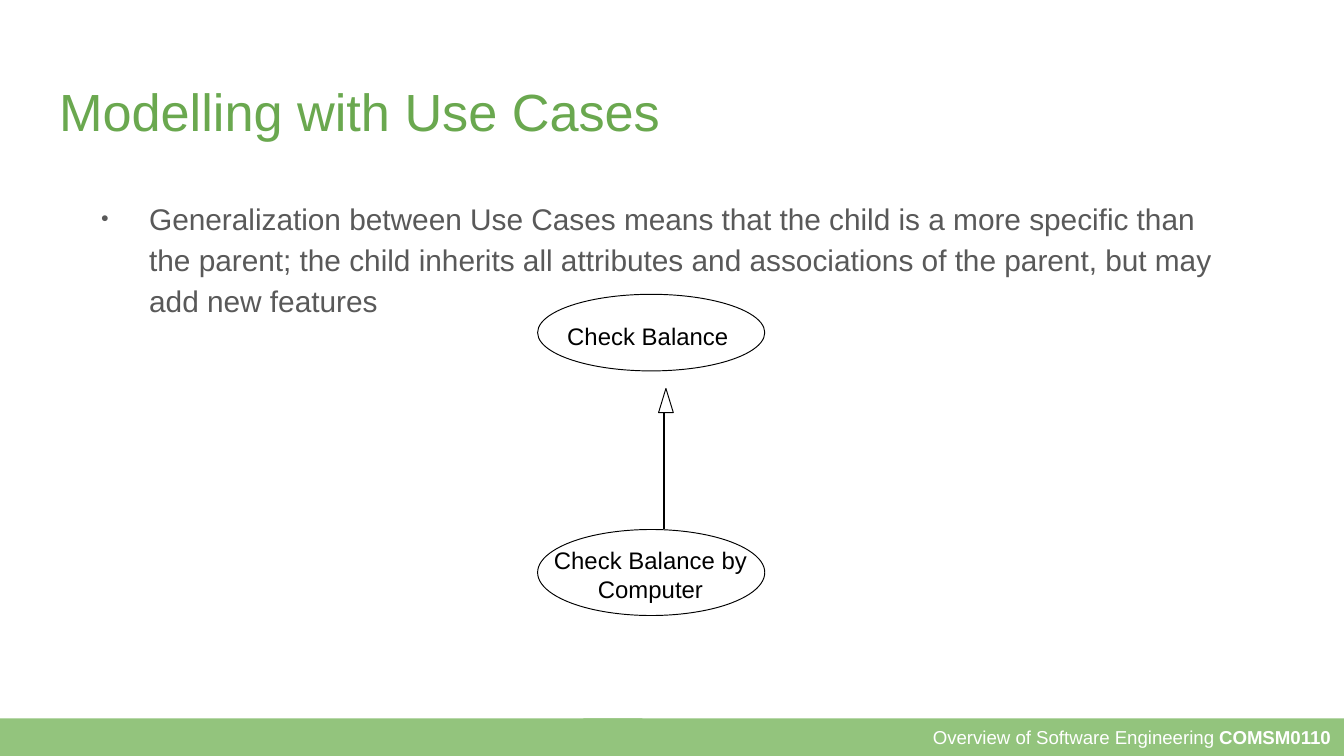
import pptx
import pptx.util
import pptx.dml.color
import pptx.enum.shapes
import pptx.enum.text
import lxml.etree
from dataclasses import dataclass

Inches = pptx.util.Inches
Shape = pptx.enum.shapes.MSO_SHAPE
Align = pptx.enum.text.PP_ALIGN
Anchor = pptx.enum.text.MSO_ANCHOR


@dataclass
class Theme:
    font: str = "Arial"
    heading: str = "6AA84F"
    body: str = "595959"
    bar: str = "93C47D"
    paper: str = "FFFFFF"
    ink: str = "000000"
    title_size: float = 28
    body_size: float = 16
    label_size: float = 12.8
    footer_size: float = 10
    outline: float = 0.5
    arrow: float = 0.75


theme = Theme()


def write(frame, text, size, color, align=Align.LEFT, anchor=Anchor.TOP, inset=0.1, bold=None):
    frame.word_wrap = True
    frame.auto_size = pptx.enum.text.MSO_AUTO_SIZE.NONE
    frame.vertical_anchor = anchor
    frame.margin_left = frame.margin_right = Inches(inset)
    frame.margin_top = frame.margin_bottom = Inches(inset)
    para = frame.paragraphs[0]
    para.alignment = align
    para.space_before = pptx.util.Pt(0)
    span = para.add_run()
    span.text = text
    span.font.name = theme.font
    span.font.size = pptx.util.Pt(size)
    span.font.bold = bold
    span.font.color.rgb = pptx.dml.color.RGBColor.from_string(color)
    return para


def draw(kind, place, fill, line=None):
    shape = page.shapes.add_shape(kind, *map(Inches, place))
    shape.shadow.inherit = False
    shape.fill.solid()
    shape.fill.fore_color.rgb = pptx.dml.color.RGBColor.from_string(fill)
    if line:
        shape.line.color.rgb = pptx.dml.color.RGBColor.from_string(line)
        shape.line.width = pptx.util.Pt(theme.outline)
    else:
        shape.line.fill.background()
    return shape


page_width = 10
page_height = page_width * 9 / 16
deck = pptx.Presentation()
deck.slide_width, deck.slide_height = Inches(page_width), Inches(page_height)
page = deck.slides.add_slide(deck.slide_layouts[1])

bar_height = 0.28
bar_top = page_height - bar_height
footer = draw(Shape.RECTANGLE, (4.34, bar_top, 5.66, bar_height), theme.bar)
draw(Shape.RECTANGLE, (0, bar_top, 4.78, bar_height), theme.bar)
for text, bold in (("Overview of Software Engineering ", None), ("COMSM0110", True)):
    write(footer.text_frame, text, theme.footer_size, theme.paper,
          align=Align.RIGHT, anchor=Anchor.MIDDLE, bold=bold)

title = page.shapes.title
title.left, title.top, title.width, title.height = map(Inches, (0.34, 0.49, 9.32, 0.63))
write(title.text_frame, "Modelling with Use Cases", theme.title_size, theme.heading)

body = page.placeholders[1]
body.left, body.top, body.width, body.height = map(Inches, (0.51, 1.35, 8.67, 3.53))
para = write(
    body.text_frame,
    "Generalization between Use Cases means that the child is a more specific than the parent; "
    "the child inherits all attributes and associations of the parent, but may add new features",
    theme.body_size, theme.body)
para.line_spacing = 1.15
properties = para._p.get_or_add_pPr()
properties.set("marL", str(Inches(0.5)))
properties.set("indent", str(Inches(-0.36)))
namespace = "{http://schemas.openxmlformats.org/drawingml/2006/main}"
bullet_color = lxml.etree.SubElement(properties, namespace + "buClr")
lxml.etree.SubElement(bullet_color, namespace + "srgbClr", val=theme.body)
lxml.etree.SubElement(properties, namespace + "buSzPct", val="45000")
lxml.etree.SubElement(properties, namespace + "buFont", typeface=theme.font)
lxml.etree.SubElement(properties, namespace + "buChar", char="●")

use_cases = (
    ("Check Balance", (4, 2.19, 1.69, 0.57), (4.12, 2.39, 1.4, 0.21)),
    ("Check Balance by Computer", (4, 3.94, 1.69, 0.64), (4.06, 4.06, 1.56, 0.43)),
)
for text, oval_place, label_place in use_cases:
    draw(Shape.OVAL, oval_place, theme.paper, line=theme.ink)
    label = page.shapes.add_textbox(*map(Inches, label_place))
    write(label.text_frame, text, theme.label_size, theme.ink, align=Align.CENTER, inset=0)

draw(Shape.ISOSCELES_TRIANGLE, (4.9, 2.89, 0.11, 0.18), theme.paper, line=theme.ink)
stem = page.shapes.add_connector(
    pptx.enum.shapes.MSO_CONNECTOR.STRAIGHT, *map(Inches, (4.94, 3.94, 4.94, 3.07)))
stem.line.color.rgb = pptx.dml.color.RGBColor.from_string(theme.ink)
stem.line.width = pptx.util.Pt(theme.arrow)
lxml.etree.SubElement(stem._element.spPr, namespace + "effectLst")

deck.save("out.pptx")
